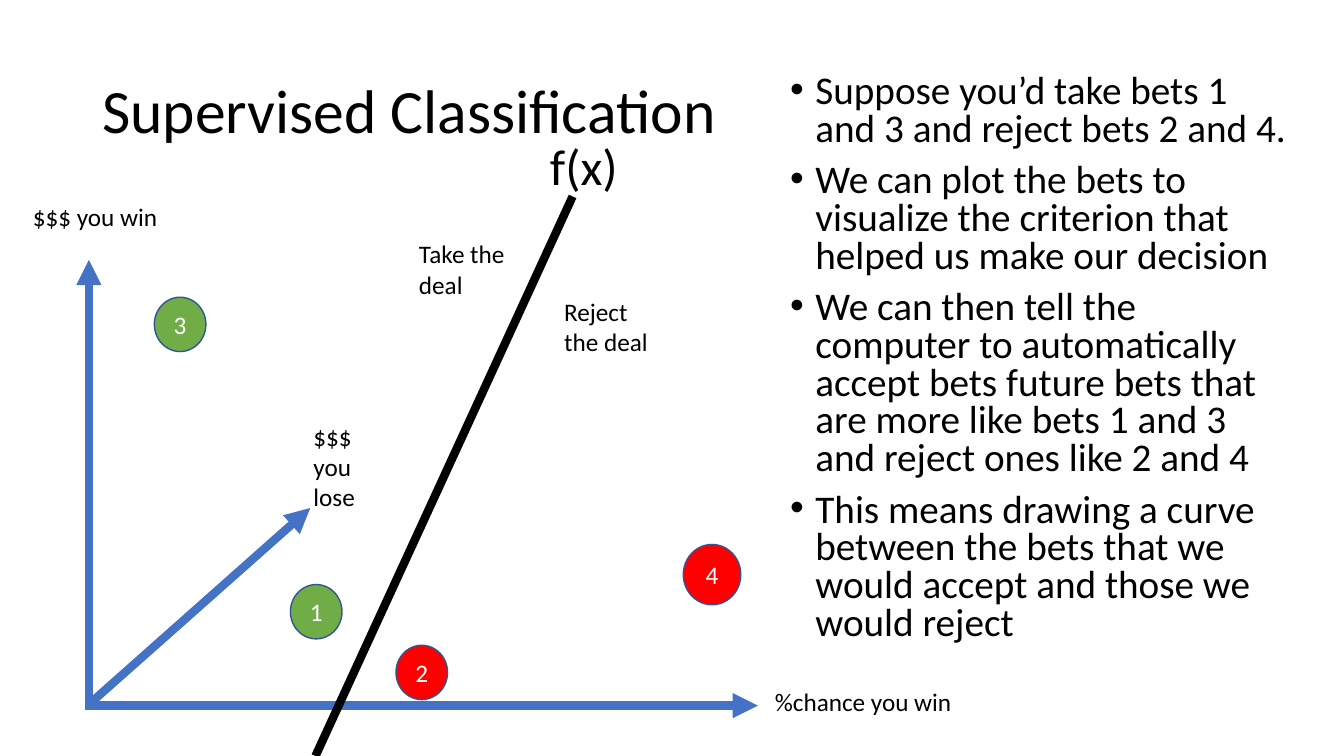
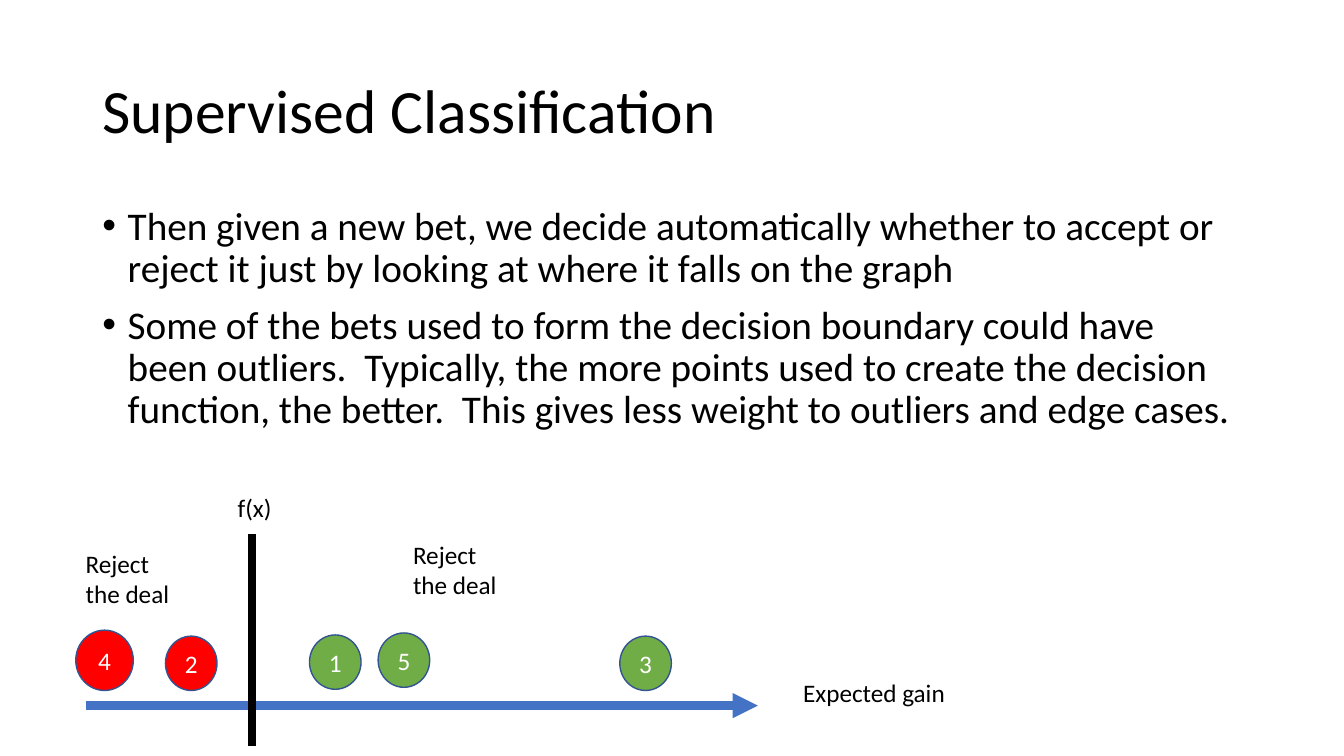
from lxml import etree
from pptx import Presentation
from pptx.dml.color import RGBColor
from pptx.enum.shapes import MSO_CONNECTOR, MSO_SHAPE
from pptx.enum.text import MSO_ANCHOR, PP_ALIGN
from pptx.oxml.ns import qn
from pptx.util import Cm, Pt

LINE = MSO_CONNECTOR.STRAIGHT
OVAL = MSO_SHAPE.OVAL
TOP, MID = MSO_ANCHOR.TOP, MSO_ANCHOR.MIDDLE
CENTER = PP_ALIGN.CENTER

FONT = "Calibri"
BLACK, WHITE = "000000", "FFFFFF"
BLUE, EDGE = "4472C4", "325491"
GREEN, RED = "70AD47", "FF0000"

TITLE = "Supervised Classification"
TITLE_BOX = (2.33, 1.01, 29.21, 3.68)
CHANCE_AXIS = (2.16, 17.78, 19.1, 17.78)
TAKEN = {1, 3, 5}
SMALL, LARGE = (1.3, 1.37), (1.45, 1.52)

SLIDES = [
    {
        "box": (19.66, 1.75, 13.08, 15.52),
        "pitch": 0.8,
        "points": [
            "Suppose you’d take bets 1 and 3 and reject bets 2 and 4.",
            "We can plot the bets to visualize the criterion that helped us "
            "make our decision",
            "We can then tell the computer to automatically accept bets future "
            "bets that are more like bets 1 and 3 and reject ones like 2 and 4",
            "This means drawing a curve between the bets that we would accept "
            "and those we would reject",
        ],
        "axes": [
            (2.24, 17.88, 2.24, 6.55),
            CHANCE_AXIS,
            (2.24, 17.75, 7.82, 12.8),
        ],
        "bets": {1: (7.32, 14.73), 2: (9.98, 16.26),
                 4: (17.22, 13.72), 3: (3.89, 7.49)},
        "border": (7.95, 19.05, 14.43, 4.95),
        "labels": [
            ("%chance you win", 19.28, 17.17, 5.44, 1, 18),
            ("$$$ you win", 0.58, 4.95, 5.44, 1, 18),
            ("Take the deal", 10.31, 5.89, 2.87, 2, 18),
            ("Reject the deal", 13.97, 7.34, 2.87, 2, 18),
            ("f(x)", 13.61, 3.28, 5.66, 1, 36),
            ("$$$ you lose", 7.65, 10.49, 2.31, 3, 18),
        ],
    },
    {
        "box": (2.33, 5.08, 29.21, 12.09),
        "pitch": 0.9,
        "points": [
            "Then given a new bet, we decide automatically whether to accept "
            "or reject it just by looking at where it falls on the graph",
            "Some of the bets used to form the decision boundary could have "
            "been outliers.  Typically, the more points used to create the "
            "decision function, the better.  This gives less weight to "
            "outliers and edge cases.",
        ],
        "axes": [CHANCE_AXIS],
        "bets": {1: (7.8, 16), 2: (4.17, 16.03), 4: (1.91, 15.88),
                 3: (15.62, 16.03), 5: (9.53, 15.95)},
        "border": (6.35, 18.8, 6.35, 13.46),
        "labels": [
            ("Expected gain", 19.99, 16.94, 5.26, 1, 18),
            ("Reject the deal", 1.91, 13.69, 2.87, 2, 18),
            ("Reject the deal", 10.16, 13.46, 2.87, 2, 18),
            ("f(x)", 5.74, 12.29, 2.87, 1, 18),
        ],
    },
]


def color(code):
    return RGBColor.from_string(code)


def style(para, size, code=BLACK):
    for run in para.runs:
        run.font.name = FONT
        run.font.size = Pt(size)
        run.font.color.rgb = color(code)


def add_text(slide, text, box, size, anchor=TOP):
    frame = slide.shapes.add_textbox(*map(Cm, box)).text_frame
    frame.word_wrap = True
    frame.vertical_anchor = anchor
    frame.text = text
    for para in frame.paragraphs:
        style(para, size)
    return frame


def add_points(slide, points, box, pitch):
    frame = add_text(slide, "\n".join(points), box, 28)
    for para in frame.paragraphs:
        para.line_spacing = pitch
        para.space_before = Pt(10)
        props = para._p.get_or_add_pPr()
        props.set("marL", str(Cm(0.64)))
        props.set("indent", str(-Cm(0.64)))
        etree.SubElement(props, qn("a:buFont")).set("typeface", "Arial")
        etree.SubElement(props, qn("a:buChar")).set("char", "•")


def add_line(slide, ends, code, arrow=False):
    line = slide.shapes.add_connector(LINE, *map(Cm, ends))
    line.line.color.rgb = color(code)
    line.line.width = Pt(6)
    if arrow:
        tail = etree.SubElement(line.line._get_or_add_ln(), qn("a:tailEnd"))
        tail.set("type", "triangle")
    etree.SubElement(line._element.spPr, qn("a:effectLst"))


def add_bet(slide, bet, spot):
    size = LARGE if bet == 4 else SMALL
    disc = slide.shapes.add_shape(OVAL, *map(Cm, spot + size))
    disc.shadow.inherit = False
    disc.fill.solid()
    disc.fill.fore_color.rgb = color(GREEN if bet in TAKEN else RED)
    disc.line.color.rgb = color(EDGE)
    disc.line.width = Pt(1)
    frame = disc.text_frame
    frame.text = str(bet)
    frame.vertical_anchor = MID
    para = frame.paragraphs[0]
    para.alignment = CENTER
    style(para, 18, WHITE)


deck = Presentation()
deck.slide_width, deck.slide_height = Cm(33.87), Cm(19.05)

for data in SLIDES:
    slide = deck.slides.add_slide(deck.slide_layouts[6])
    title = add_text(slide, TITLE, TITLE_BOX, 44, MID)
    title.paragraphs[0].line_spacing = 0.9
    add_points(slide, data["points"], data["box"], data["pitch"])
    for ends in data["axes"]:
        add_line(slide, ends, BLUE, arrow=True)
    for bet, spot in data["bets"].items():
        add_bet(slide, bet, spot)
    add_line(slide, data["border"], BLACK)
    for text, left, top, width, rows, size in data["labels"]:
        height = 0.25 + 0.77 * rows * size / 18
        add_text(slide, text, (left, top, width, height), size)

deck.save("out.pptx")
